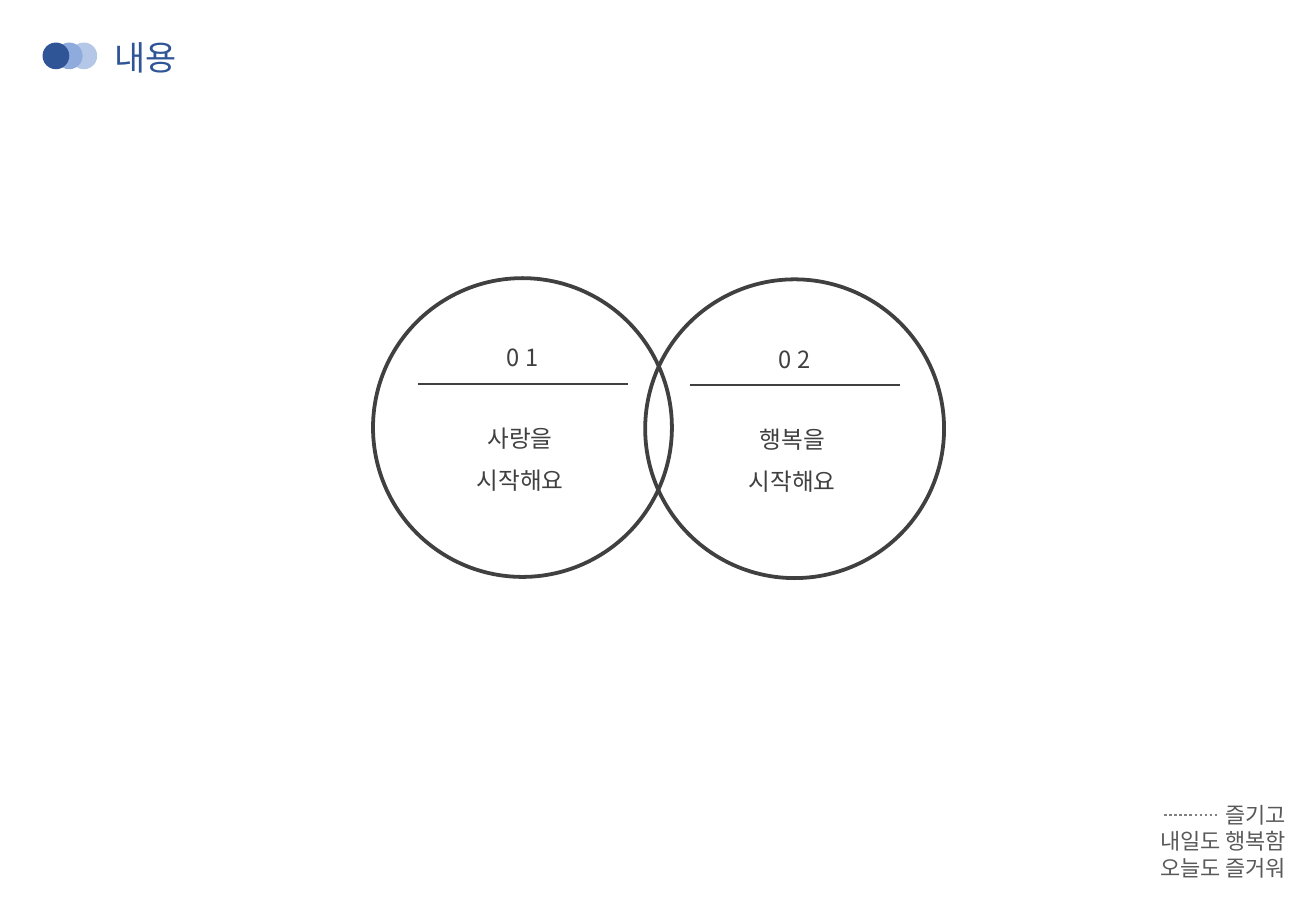
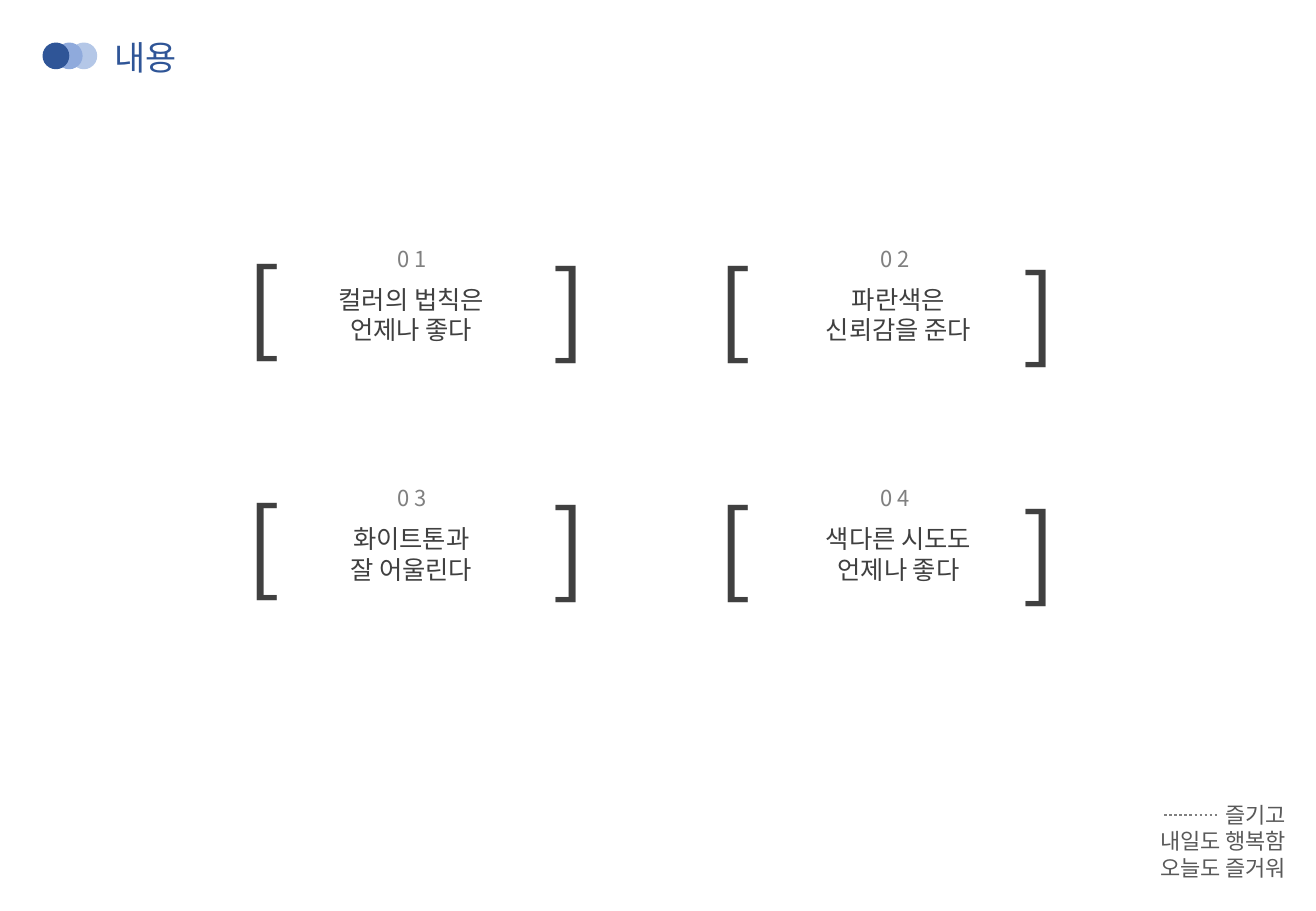
"""Build two Korean content slides: overlapping circles and bracketed statements."""
from lxml import etree
from pptx import Presentation
from pptx.dml.color import RGBColor
from pptx.enum.dml import MSO_LINE
from pptx.enum.shapes import MSO_CONNECTOR, MSO_SHAPE
from pptx.enum.text import MSO_ANCHOR, MSO_AUTO_SIZE, PP_ALIGN
from pptx.oxml.ns import qn
from pptx.util import Inches, Pt

LEFT, CENTER, RIGHT = PP_ALIGN.LEFT, PP_ALIGN.CENTER, PP_ALIGN.RIGHT
TOP, GROW = MSO_ANCHOR.TOP, MSO_AUTO_SIZE.SHAPE_TO_FIT_TEXT
OVAL, STRAIGHT, DOTTED = MSO_SHAPE.OVAL, MSO_CONNECTOR.STRAIGHT, MSO_LINE.ROUND_DOT
TITLE_ONLY = 5

FONT = "Noto Sans CJK KR"
COLORS = {
    "navy": "2F5597", "blue": "8FAADC", "pale": "B4C7E7",
    "dark": "404040", "footer": "595959", "gray": "808080",
}

TITLE = "내용"
FOOTER = ["즐기고", "내일도 행복함", "오늘도 즐거워"]
DOTS = [(0.58, "pale"), (0.46, "blue"), (0.35, "navy")]

CIRCLES = [
    ("0 1", ["사랑을", "시작해요"]),
    ("0 2", ["행복을", "시작해요"]),
]
CIRCLE_LEFT, CIRCLE_TOP, CIRCLE_SIZE = 3.07, 2.29, 2.46
CIRCLE_STEP_X, CIRCLE_STEP_Y = 2.24, 0.01

STATEMENTS = [
    ("0 1", ["컬러의 법칙은", "언제나 좋다"]),
    ("0 2", ["파란색은", "신뢰감을 준다"]),
    ("0 3", ["화이트톤과", "잘 어울린다"]),
    ("0 4", ["색다른 시도도", "언제나 좋다"]),
]
STATEMENT_COLUMNS = [
    {"text": 1.8, "number": 3.17, "[": (1.93, 1.95), "]": (4.45, 1.97)},
    {"text": 5.81, "number": 7.15, "[": (5.81, 1.97), "]": (8.32, 2)},
]
NUMBER_TOP, STATEMENT_TOP, ROW_STEP = 1.97, 2.29, 1.97


def rgb(name):
    return RGBColor.from_string(COLORS[name])


def write(shape, box, lines, size, color, align=LEFT, spacing=None, wrap=True):
    shape.left, shape.top, shape.width, shape.height = map(Inches, box)
    frame = shape.text_frame
    frame.text = "\n".join(lines)
    frame.word_wrap = wrap
    frame.vertical_anchor = TOP
    frame.auto_size = GROW
    for paragraph in frame.paragraphs:
        paragraph.alignment = align
        paragraph.line_spacing = spacing
        font = paragraph.font
        font.size = Pt(size)
        font.color.rgb = rgb(color)
        font.name = FONT
        etree.SubElement(font._rPr, qn("a:ea"), typeface=FONT)


def add_text(slide, box, *args, **options):
    write(slide.shapes.add_textbox(*map(Inches, box)), box, *args, **options)


def add_circle(slide, left, top, size, fill=None):
    circle = slide.shapes.add_shape(OVAL, *map(Inches, (left, top, size, size)))
    circle.shadow.inherit = False
    if fill:
        circle.fill.solid()
        circle.fill.fore_color.rgb = rgb(fill)
        circle.line.fill.background()
    else:
        circle.fill.background()
        circle.line.color.rgb = rgb("dark")
        circle.line.width = Pt(2.25)


def add_rule(slide, left, top, width, color, dash=None):
    ends = map(Inches, (left, top, left + width, top))
    rule = slide.shapes.add_connector(STRAIGHT, *ends)
    rule.line.color.rgb = rgb(color)
    rule.line.width = Pt(1.5)
    if dash:
        rule.line.dash_style = dash
    etree.SubElement(rule._element.spPr, qn("a:effectLst"))


def add_base_slide(presentation):
    slide = presentation.slides.add_slide(presentation.slide_layouts[TITLE_ONLY])
    write(slide.shapes.title, (0.84, 0.25, 5.24, 0.44), [TITLE], 20, "navy")
    for left, color in DOTS:
        add_circle(slide, left, 0.35, 0.22, color)
    add_text(slide, (9.1, 6.55, 1.58, 0.76), FOOTER, 13, "footer", RIGHT)
    add_rule(slide, 9.58, 6.71, 0.44, "gray", DOTTED)
    return slide


def add_circle_slide(presentation):
    slide = add_base_slide(presentation)
    for index, (number, lines) in enumerate(CIRCLES):
        left = CIRCLE_LEFT + index * CIRCLE_STEP_X
        top = CIRCLE_TOP + index * CIRCLE_STEP_Y
        add_text(slide, (left - 0.33, top + 0.37, 3.12, 0.45), [number],
                 14, "dark", CENTER, 1.5)
        add_circle(slide, left, top, CIRCLE_SIZE)
        add_rule(slide, left + 0.37, top + 0.87, 1.73, "dark")
        add_text(slide, (left - 0.35, top + 1.03, 3.12, 0.81), lines,
                 14, "dark", CENTER, 1.5)


def add_statement_slide(presentation):
    slide = add_base_slide(presentation)
    for index, (number, lines) in enumerate(STATEMENTS):
        row, column_index = divmod(index, len(STATEMENT_COLUMNS))
        column = STATEMENT_COLUMNS[column_index]
        shift = row * ROW_STEP
        for bracket in "][":
            left, top = column[bracket]
            add_text(slide, (left, top + shift, 0.46, 1.11), [bracket], 60, "dark")
        add_text(slide, (column["text"], STATEMENT_TOP + shift, 3.17, 0.61),
                 lines, 15, "dark", CENTER)
        add_text(slide, (column["number"], NUMBER_TOP + shift, 0.46, 0.32),
                 [number], 13, "gray", wrap=False)


def main():
    presentation = Presentation()
    presentation.slide_width = Inches(10.83)
    presentation.slide_height = Inches(7.5)
    add_circle_slide(presentation)
    add_statement_slide(presentation)
    presentation.save("out.pptx")


if __name__ == "__main__":
    main()
